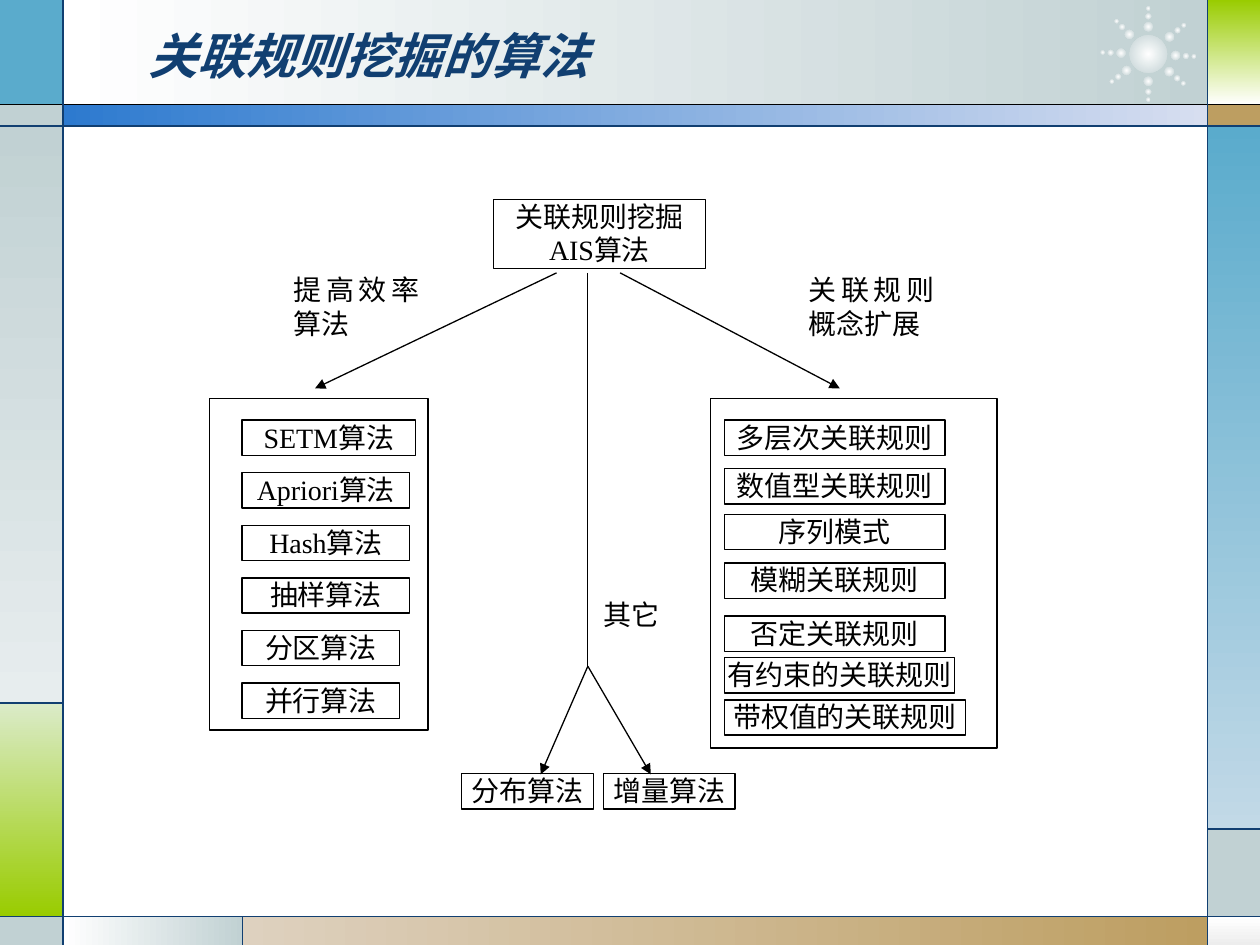
"""Build the slide on association rule mining algorithms."""
import math

import pptx
import pptx.dml.color
import pptx.enum.lang
import pptx.enum.shapes
import pptx.enum.text
import pptx.oxml
import pptx.oxml.ns
import pptx.util
from lxml import etree

Cm = pptx.util.Cm
Pt = pptx.util.Pt
RGB = pptx.dml.color.RGBColor
SHAPE = pptx.enum.shapes.MSO_SHAPE
ALIGN = pptx.enum.text.PP_ALIGN
qn = pptx.oxml.ns.qn

BLACK = RGB(0x00, 0x00, 0x00)
WHITE = RGB(0xFF, 0xFF, 0xFF)
NAVY = RGB(0x11, 0x3F, 0x71)
MIST = RGB(0xC1, 0xD1, 0xD3)
PALE_MIST = RGB(0xE7, 0xED, 0xEE)
SKY = RGB(0x5A, 0xAB, 0xCC)
PALE_SKY = RGB(0xC2, 0xD9, 0xE7)
GREEN = RGB(0x99, 0xCC, 0x00)
PALE_GREEN = RGB(0xDB, 0xEB, 0xC9)
TAN = RGB(0xBD, 0x9E, 0x61)
PALE_TAN = RGB(0xDE, 0xD1, 0xBF)
BLUE = RGB(0x2D, 0x7A, 0xCF)
PALE_BLUE = RGB(0xD7, 0xDE, 0xF0)
GREY = RGB(0xED, 0xED, 0xED)

WIDTH, HEIGHT = 25.4, 19.05
LEFT, RIGHT = 1.27, 24.34
HEAD, BAND, FOOT = 2.11, 2.54, 18.47
LEFT_SPLIT, RIGHT_SPLIT, FOOT_SPLIT = 14.17, 16.71, 4.89
ACROSS, DOWN = 0, 270

TITLE = "关联规则挖掘的算法"
ROOT = ("关联规则挖掘AIS算法", 9.95, 4.02, 4.27, 1.4)
EFFICIENCY = [("SETM算法", 3.5), ("Apriori算法", 3.38), ("Hash算法", 3.38),
              ("抽样算法", 3.38), ("分区算法", 3.18), ("并行算法", 3.18)]
EXTENSIONS = [("多层次关联规则", 8.47, 4.45), ("数值型关联规则", 9.45, 4.45),
              ("序列模式", 10.37, 4.45), ("模糊关联规则", 11.35, 4.45),
              ("否定关联规则", 12.42, 4.45), ("有约束的关联规则", 13.26, 4.65),
              ("带权值的关联规则", 14.11, 4.87)]
OTHERS = [("分布算法", 9.31), ("增量算法", 12.17)]
LABELS = [("提高效率算法", 5.92, 5.5, 2.54, 1.35),
          ("关联规则概念扩展", 16.3, 5.5, 2.54, 1.35),
          ("其它", 12.17, 12.05, 1.85, 0.69)]
PANELS = [(4.23, 8.04, 4.4, 6.68), (14.33, 8.04, 5.77, 7.04)]
FORK = (11.85, 13.43)
ARROWS = [((11.22, 5.5), (6.35, 7.83)), ((12.5, 5.5), (16.93, 7.83)),
          (FORK, (10.9, 15.61)), (FORK, (13.12, 15.61))]

BARS = [
    (LEFT, 0, RIGHT, HEAD, (WHITE, MIST), ACROSS),
    (0, 0, LEFT, HEAD, (SKY,), None),
    (0, HEAD, LEFT, BAND, (MIST,), None),
    (0, BAND, LEFT, LEFT_SPLIT, (MIST, PALE_MIST), DOWN),
    (0, LEFT_SPLIT, LEFT, FOOT, (PALE_GREEN, GREEN), DOWN),
    (0, FOOT, LEFT, HEIGHT, (MIST,), None),
    (LEFT, FOOT, FOOT_SPLIT, HEIGHT, (WHITE, MIST), ACROSS),
    (FOOT_SPLIT, FOOT, RIGHT, HEIGHT, (PALE_TAN, TAN), ACROSS),
    (RIGHT, FOOT, WIDTH, HEIGHT, (WHITE, GREY), DOWN),
    (RIGHT, RIGHT_SPLIT, WIDTH, FOOT, (MIST,), None),
    (RIGHT, BAND, WIDTH, RIGHT_SPLIT, (SKY, PALE_SKY), DOWN),
    (RIGHT, HEAD, WIDTH, BAND, (TAN,), None),
    (RIGHT, 0, WIDTH, HEAD, (GREEN, WHITE), DOWN),
    (LEFT, HEAD, RIGHT, BAND, (BLUE, PALE_BLUE), ACROSS),
]
RULES = [
    ((0, HEAD), (WIDTH, HEAD), BLACK),
    ((0, BAND), (WIDTH, BAND), NAVY),
    ((0, FOOT), (WIDTH, FOOT), NAVY),
    ((LEFT, 0), (LEFT, HEIGHT), NAVY),
    ((RIGHT, 0), (RIGHT, HEIGHT), NAVY),
    ((0, LEFT_SPLIT), (LEFT, LEFT_SPLIT), NAVY),
    ((FOOT_SPLIT, FOOT), (FOOT_SPLIT, HEIGHT), NAVY),
    ((RIGHT, RIGHT_SPLIT), (WIDTH, RIGHT_SPLIT), NAVY),
]
BURST = (23.15, 1.09)
BURST_ANGLES = [3, 40, 90, 143, 182, 226, 270, 321]
BURST_DOTS = [(0.55, 0.19), (0.76, 0.12), (0.92, 0.09)]


def add_shape(s, kind, x, y, w, h):
    sp = s.shapes.add_shape(kind, Cm(x), Cm(y), Cm(w), Cm(h))
    sp.shadow.inherit = False
    return sp


def paint(sp, colors, angle):
    sp.line.fill.background()
    if len(colors) == 1:
        sp.fill.solid()
        sp.fill.fore_color.rgb = colors[0]
        return
    sp.fill.gradient()
    sp.fill.gradient_angle = angle
    for stop, color, position in zip(sp.fill.gradient_stops, colors, (0, 1)):
        stop.color.rgb = color
        stop.position = position


def add_glow(s, x, y, size):
    sp = add_shape(s, SHAPE.OVAL, x - size / 2, y - size / 2, size, size)
    paint(sp, (WHITE, MIST), ACROSS)
    grad = sp._element.spPr.find(qn("a:gradFill"))
    grad.remove(grad.find(qn("a:lin")))
    radial = etree.SubElement(grad, qn("a:path"), {"path": "circle"})
    etree.SubElement(radial, qn("a:fillToRect"),
                     dict.fromkeys("ltrb", "50000"))


def add_line(s, start, end, color=BLACK, arrow=False):
    cx = s.shapes.add_connector(pptx.enum.shapes.MSO_CONNECTOR.STRAIGHT,
                                *map(Cm, start + end))
    cx.line.color.rgb = color
    cx.line.width = Pt(0.75)
    if arrow:
        etree.SubElement(cx.line._get_or_add_ln(), qn("a:tailEnd"),
                         {"type": "triangle"})
    etree.SubElement(cx._element.spPr, qn("a:effectLst"))


def write(sp, text, align, size=16, color=BLACK, font="Times New Roman"):
    tf = sp.text_frame
    tf.text = text
    tf.word_wrap = True
    p = tf.paragraphs[0]
    p.alignment = align
    r = p.runs[0]
    r.font.size = Pt(size)
    r.font.name = font
    r.font.color.rgb = color
    r.font.language_id = pptx.enum.lang.MSO_LANGUAGE_ID.SIMPLIFIED_CHINESE
    return r


def trim(sp):
    tf = sp.text_frame
    tf.margin_left = tf.margin_right = tf.margin_top = tf.margin_bottom = 0
    tf.vertical_anchor = pptx.enum.text.MSO_ANCHOR.TOP


def add_box(s, x, y, w, h, text=None):
    sp = add_shape(s, SHAPE.RECTANGLE, x, y, w, h)
    sp.fill.background()
    sp.line.color.rgb = BLACK
    sp.line.width = Pt(0.75)
    if text:
        trim(sp)
        font = "Arial" if text == "序列模式" else "Times New Roman"
        write(sp, text, ALIGN.CENTER, font=font)


def add_frame(s):
    for x1, y1, x2, y2, colors, angle in BARS:
        paint(add_shape(s, SHAPE.RECTANGLE, x1, y1, x2 - x1, y2 - y1), colors, angle)
    add_glow(s, *BURST, 0.76)
    for angle in map(math.radians, BURST_ANGLES):
        for radius, size in BURST_DOTS:
            add_glow(s, BURST[0] + radius * math.cos(angle),
                     BURST[1] + radius * math.sin(angle), size)
    for start, end, color in RULES:
        add_line(s, start, end, color)


def add_title(s):
    sp = s.shapes.title
    sp.left, sp.top, sp.width, sp.height = map(Cm, (2.74, 0.33, 18.62, 1.57))
    r = write(sp, TITLE, ALIGN.LEFT, 28, NAVY)
    r.font.bold = r.font.italic = True
    sp.text_frame.vertical_anchor = pptx.enum.text.MSO_ANCHOR.MIDDLE
    s.shapes._spTree.append(sp._element)


def add_diagram(s):
    for panel in PANELS:
        add_box(s, *panel)
    text, *place = ROOT
    add_box(s, *place, text)
    for i, (text, w) in enumerate(EFFICIENCY):
        add_box(s, 4.88, 8.47 + 1.06 * i, w, 0.71, text)
    for text, y, w in EXTENSIONS:
        add_box(s, 14.6, y, w, 0.71, text)
    for text, x in OTHERS:
        add_box(s, x, 15.6, 2.65, 0.71, text)
    for text, *place in LABELS:
        sp = s.shapes.add_textbox(*map(Cm, place))
        trim(sp)
        write(sp, text, ALIGN.JUSTIFY)
    add_line(s, (FORK[0], 5.5), FORK)
    for start, end in ARROWS:
        add_line(s, start, end, arrow=True)


def main():
    prs = pptx.Presentation()
    prs.slide_width, prs.slide_height = Cm(WIDTH), Cm(HEIGHT)
    s = prs.slides.add_slide(prs.slide_layouts[5])
    add_frame(s)
    add_title(s)
    add_diagram(s)
    prs.save("out.pptx")


if __name__ == "__main__":
    main()
